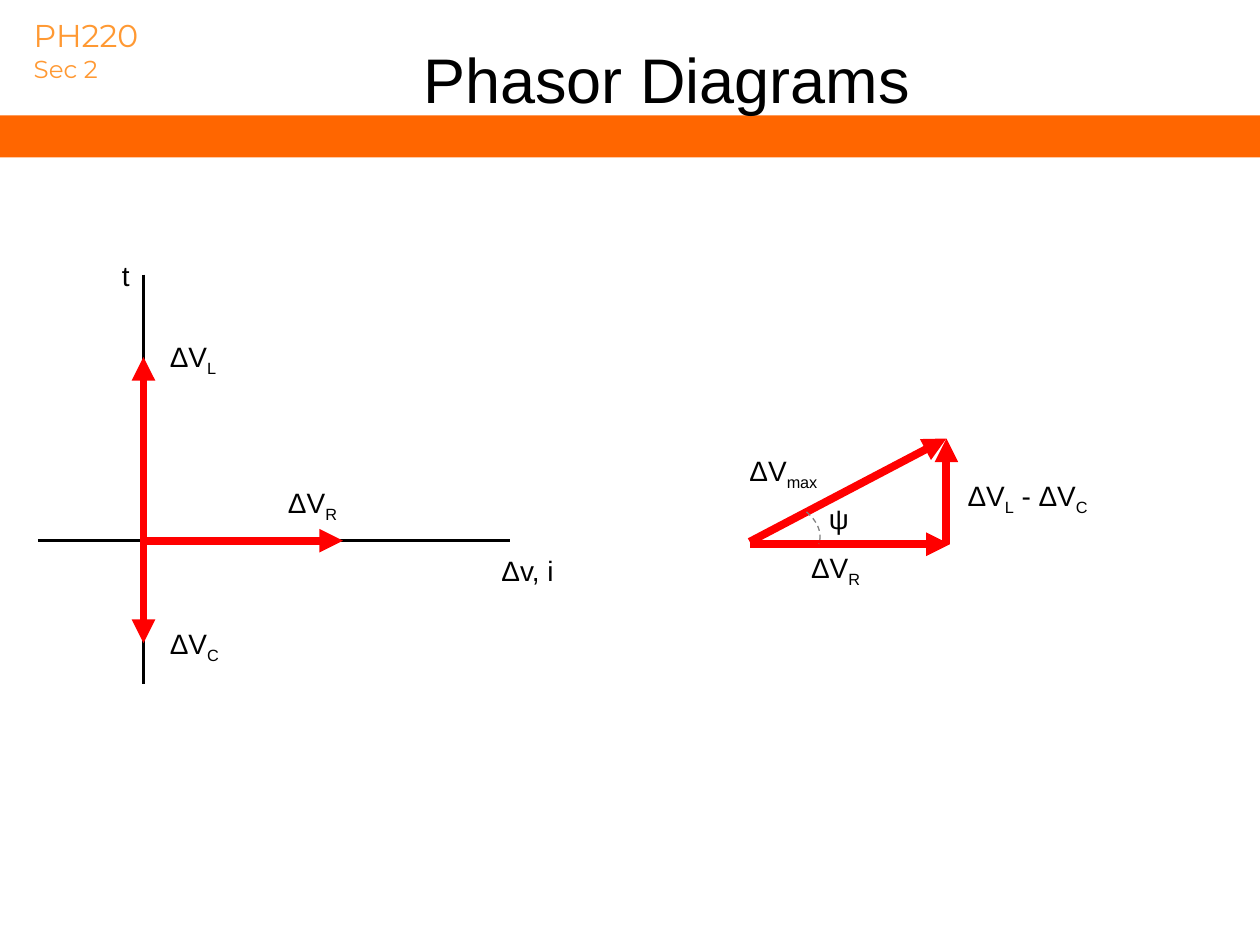
import math
import pptx
import pptx.util
import pptx.dml.color
import pptx.enum.dml
import pptx.enum.shapes
import pptx.enum.text
import pptx.oxml
import pptx.oxml.ns

Pt = pptx.util.Pt
ALIGN = pptx.enum.text.PP_ALIGN
ANCHOR = pptx.enum.text.MSO_ANCHOR
RED, BLACK, ORANGE = "FF0000", "000000", "FF6600"


def color(code):
    return pptx.dml.color.RGBColor.from_string(code)


def child(parent, tag):
    node = pptx.oxml.parse_xml(f'<a:{tag} {pptx.oxml.ns.nsdecls("a")}/>')
    parent.append(node)
    return node


def frame(slide, x, y, w, h, wrap=True):
    text = slide.shapes.add_textbox(Pt(x), Pt(y), Pt(w), Pt(h)).text_frame
    text.word_wrap = wrap
    return text


def write(para, words, size, code, face="Arial"):
    run = para.add_run()
    run.text = words
    run.font.size = Pt(size)
    run.font.name = face
    run.font.color.rgb = color(code)
    return run


def label(slide, x, y, w, *parts, wrap=True, h=26.6):
    para = frame(slide, x, y, w, h, wrap).paragraphs[0]
    for index, words in enumerate(parts):
        run = write(para, words, 16, BLACK)
        if index % 2:
            run._r.get_or_add_rPr().set("baseline", "-25000")


def line(slide, x1, y1, x2, y2, code=BLACK, width=1.5):
    kind = pptx.enum.shapes.MSO_CONNECTOR.STRAIGHT
    item = slide.shapes.add_connector(kind, Pt(x1), Pt(y1), Pt(x2), Pt(y2))
    item.line.color.rgb = color(code)
    item.line.width = Pt(width)
    child(item._element.spPr, "effectLst")
    return item


def arrow(slide, x1, y1, x2, y2):
    item = line(slide, x1, y1, x2, y2, RED, 4.5)
    child(item.line._get_or_add_ln(), "tailEnd").set("type", "triangle")


def header(slide, x, y, w):
    text = frame(slide, x + 12.2, y + 5.8, 78.5, 45.4, False)
    write(text.paragraphs[0], "PH220", 18, "FF9933", "Montserrat")
    write(text.add_paragraph(), "Sec 2", 14, "FF9933", "Montserrat")

    kind = pptx.enum.shapes.MSO_SHAPE.RECTANGLE
    band = slide.shapes.add_shape(kind, Pt(x), Pt(y + 66), Pt(w), Pt(24))
    band.shadow.inherit = False
    band.fill.solid()
    band.fill.fore_color.rgb = color(ORANGE)
    band.line.fill.background()

    text = frame(slide, x + 126, y, 510, 90)
    text.vertical_anchor = ANCHOR.MIDDLE
    para = text.paragraphs[0]
    para.alignment = ALIGN.CENTER
    write(para, "Phasor Diagrams", 36, BLACK)


def axes(slide, x, y, w, h):
    cx, cy = x + 60.4, y + 152
    line(slide, cx, y, cx, y + h)
    line(slide, x, cy, x + w, cy)
    for dx, dy in ((0, -105), (114, 0), (0, 58.5)):
        arrow(slide, cx, cy, cx + dx, cy + dy)
    for dx, dy, sub in ((8, -118.5, "L"), (8, 45.5, "C"), (75.5, -35, "R")):
        label(slide, cx + dx, cy + dy, 55.4, "ΔV", sub)
    label(slide, cx - 19.4, y - 13, 18.7, "t", wrap=False)
    label(slide, x + w - 12.2, cy + 3.8, 44.6, "Δv, i", wrap=False)


def angle(slide, cx, cy, rx, ry, first, last):
    points = []
    for step in range(first, last + 1, 2):
        turn = math.radians(step)
        points.append((Pt(cx + rx * math.cos(turn)), Pt(cy + ry * math.sin(turn))))
    path = slide.shapes.build_freeform(*points[0])
    path.add_line_segments(points[1:], close=False)
    arc = path.convert_to_shape()
    arc.shadow.inherit = False
    arc.fill.background()
    arc.line.color.rgb = color("808080")
    arc.line.width = Pt(0.75)
    arc.line.dash_style = pptx.enum.dml.MSO_LINE.DASH


def triangle(slide, x, y, w, h):
    right, base = x + w, y + h
    arrow(slide, right, base, right, y)
    arrow(slide, x, base, right + 2, base)
    arrow(slide, x, base - 1.4, right, y)
    label(slide, right + 5, y + 19.4, 104.4, "ΔV", "L", " - ΔV", "C", h=39.6)
    label(slide, x + 28, base, 55.4, "ΔV", "R")
    label(slide, x - 7.2, y + 5, 55.4, "ΔV", "max")
    angle(slide, x - 26, base - 4.3, 66.2, 30.2, -28, 8)
    label(slide, x + 38.2, y + 32.4, 26.6, "ψ", wrap=False)


def main():
    deck = pptx.Presentation()
    deck.slide_width, deck.slide_height = Pt(720), Pt(540)
    slide = deck.slides.add_slide(deck.slide_layouts[6])
    header(slide, 0, 0, 720)
    triangle(slide, 428.4, 250.6, 112.4, 60.4)
    axes(slide, 21.6, 157, 270, 234)
    deck.save("out.pptx")


if __name__ == "__main__":
    main()
